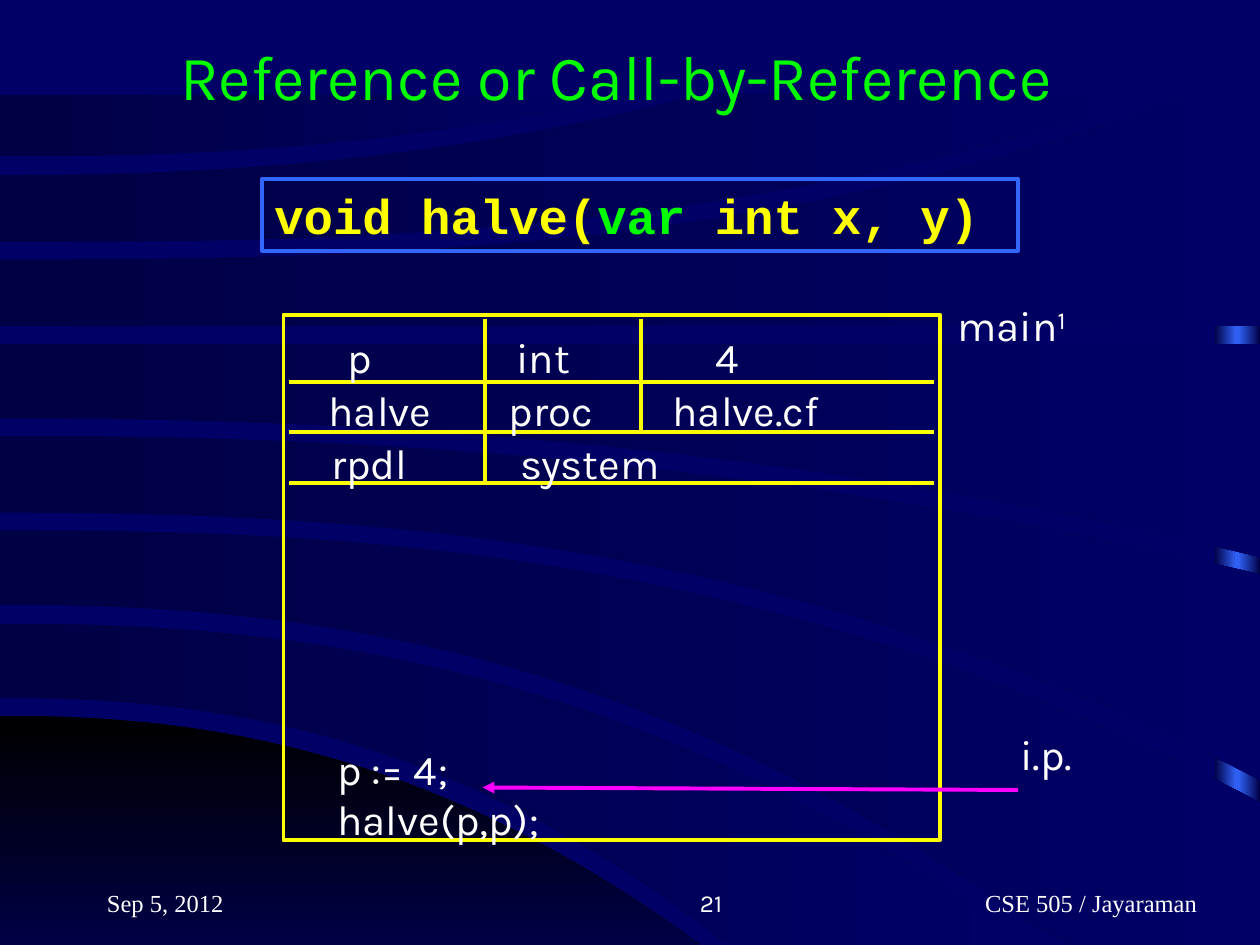
import pptx
import pptx.dml.color
import pptx.enum.shapes
import pptx.enum.text
import pptx.oxml
import pptx.oxml.ns
import pptx.util
from lxml import etree

ALIGN = pptx.enum.text.PP_ALIGN
ANCHOR = pptx.enum.text.MSO_ANCHOR
RECT = pptx.enum.shapes.MSO_SHAPE.RECTANGLE
STRAIGHT = pptx.enum.shapes.MSO_CONNECTOR.STRAIGHT
Inches = pptx.util.Inches

NAVY, DARK, BLACK, BLUE = "000066", "000044", "000000", "3366FF"
WHITE, YELLOW, GREEN, PINK = "FFFFFF", "FFFF00", "00FF00", "FF00FF"

STEPS, ROOF, FLOOR = 40, 0.75, 7.5
DOME = (5.68, 1.82, 5.56, 2.25), (7.5, 0, 5.56, 1)
BANDS = [
    ((4.95, 2.55, 8.2, 2.3), (5.54, 1.96, 5.78, 2.33)),
    ((4.21, 2.16, 10, 2.45), (4.8, 2.7, 8.42, 2.32)),
    ((3.46, 1.1, 10, 2.17), (4.07, 2.12, 10, 2.45)),
    ((2.73, 0, 10, 1), (3.32, 1.1, 10, 2.21)),
    ((2.06, -1.31, 9.44, 2.75), (2.59, 0, 10, 1)),
    ((1.39, -0.64, 5.57, 2.29), (1.92, -1.17, 9.18, 2.65)),
    ((0.75, 0, 5.02, 1), (1.24, -0.49, 5.02, 2.33)),
]
LEVELS = [3.03, 3.43, 3.83]
POSTS = [(3.85, 3.83), (5.09, 3.43)]
ROWS = [[("p", 2.66), ("int", 4), ("4", 5.58)],
        [("halve", 2.51), ("proc", 3.94), ("halve.cf", 5.24)],
        [("rpdl", 2.53), ("system", 4.03)]]
FOOT = [("Sep 5, 2012", 0.75, 2.08, ALIGN.LEFT, "Times New Roman"),
        ("CSE 505 / Jayaraman", 7.57, 2.18, ALIGN.CENTER, "Times New Roman"),
        ("21", 3.75, 2.08, ALIGN.RIGHT, "Karla")]
CALL = [("void halve(", YELLOW), ("var", GREEN), (" int x, y)", YELLOW)]
CODE = ["p := 4;", "halve(p,p);"]


def paint(color, tint):
    color.rgb = pptx.dml.color.RGBColor.from_string(tint)


def add(parent, tag, **attrs):
    return etree.SubElement(parent, pptx.oxml.ns.qn(tag), attrs)


def style(item, form):
    for key, value in form.items():
        setattr(item, key, value)


def blend(shape, first, last, angle=0):
    shape.shadow.inherit = False
    shape.line.fill.background()
    shape.fill.gradient()
    shape.fill.gradient_angle = angle
    for stop, tint in zip(shape.fill.gradient_stops, (first, last)):
        paint(stop.color, tint)


def curve(span, start, drop, end, power):
    for step in range(STEPS + 1):
        x = span * step / STEPS
        y = start + drop * (x / end) ** power
        yield Inches(x), Inches(min(max(y, ROOF), FLOOR))


def sweep(shapes, top, base):
    span = max(top[2], base[2])
    spots = list(curve(span, *top)) + list(curve(span, *base))[::-1]
    pen = shapes.build_freeform(*spots[0], scale=1.0)
    pen.add_line_segments(spots[1:], close=True)
    return pen.convert_to_shape()


def frame(shapes, box, tint):
    shape = shapes.add_shape(RECT, *map(Inches, box))
    shape.shadow.inherit = False
    shape.fill.background()
    paint(shape.line.color, tint)
    shape.line.width = pptx.util.Pt(2.25)
    return shape


def rule(shapes, ends, tint):
    line = shapes.add_connector(STRAIGHT, *map(Inches, ends))
    paint(line.line.color, tint)
    line.line.width = pptx.util.Pt(2.25)
    add(line._element.spPr, "a:effectLst")
    return line


def write(shape, lines, size=24, face="Karla", align=ALIGN.LEFT, anchor=ANCHOR.TOP, bold=False):
    text = shape.text_frame
    style(text, {"word_wrap": True, "vertical_anchor": anchor})
    font = {"size": pptx.util.Pt(size), "name": face, "bold": bold}
    for spot, runs in enumerate(lines):
        para = text.add_paragraph() if spot else text.paragraphs[0]
        para.alignment = align
        for words, tint in runs:
            run = para.add_run()
            run.text = words
            style(run.font, font)
            paint(run.font.color, tint)
    return text


def label(shapes, words, x, y, wide=1.75, high=0.5, **form):
    box = shapes.add_textbox(*map(Inches, (x, y, wide, high)))
    return write(box, [[(line, WHITE)] for line in words], **form)


def main():
    deck = pptx.Presentation()
    style(deck, {"slide_width": Inches(10), "slide_height": Inches(7.5)})
    slide = deck.slides.add_slide(deck.slide_layouts[5])
    shapes = slide.shapes
    slide.background.fill.solid()
    paint(slide.background.fill.fore_color, NAVY)

    for x, tints in ((9.64, (DARK, BLUE)), (9.82, (BLUE, DARK))):
        blend(shapes.add_shape(RECT, *map(Inches, (x, 0.77, 0.18, 6.73))), *tints)
    blend(sweep(shapes, *DOME), BLACK, DARK, 270)
    for band in BANDS:
        blend(sweep(shapes, *band), DARK, NAVY)

    for words, x, wide, align, face in FOOT:
        label(shapes, [words], x, 6.83, wide, size=14, face=face,
              align=align, anchor=ANCHOR.BOTTOM)

    frame(shapes, (2.25, 2.5, 5.21, 4.17), YELLOW)
    for y in LEVELS:
        rule(shapes, (2.29, y, 7.41, y), YELLOW)
    for x, end in POSTS:
        rule(shapes, (x, 2.53, x, end), YELLOW)
    for row, cells in enumerate(ROWS):
        for words, x in cells:
            label(shapes, [words], x, 2.58 + 0.42 * row)

    name = label(shapes, ["main"], 7.5, 2.33, 2.04)
    mark = name.paragraphs[0].add_run()
    mark.text = "1"
    style(mark.font, {"size": pptx.util.Pt(24), "name": "Karla"})
    paint(mark.font.color, WHITE)
    mark._r.get_or_add_rPr().set("baseline", "30000")

    label(shapes, ["i.p."], 8, 5.73, 0.67)
    arrow = rule(shapes, (8.08, 6.27, 3.83, 6.25), PINK)
    add(arrow.line._get_or_add_ln(), "a:tailEnd", type="triangle")

    title = shapes.title
    style(title, dict(zip(("left", "top", "width", "height"),
                          map(Inches, (1.33, 0.25, 7.92, 0.7)))))
    write(title, [[("Reference or Call-by-Reference", GREEN)]], 36)
    shapes._spTree.append(title._element)

    label(shapes, CODE, 2.58, 5.85, 1.82, 0.9)
    write(frame(shapes, (2.08, 1.42, 6, 0.57), BLUE), [CALL], 28, "Courier New", bold=True)
    deck.save("out.pptx")


if __name__ == "__main__":
    main()
